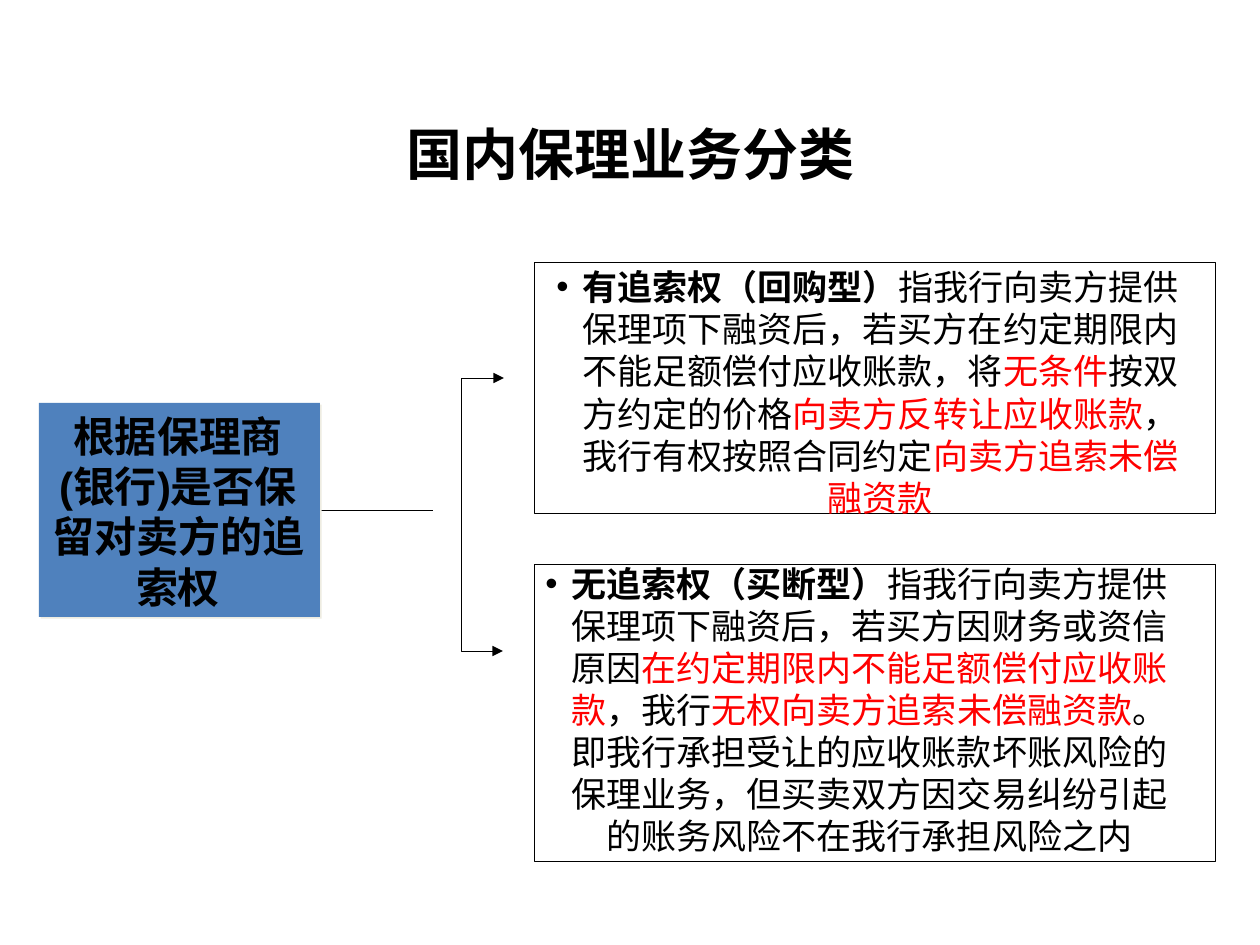
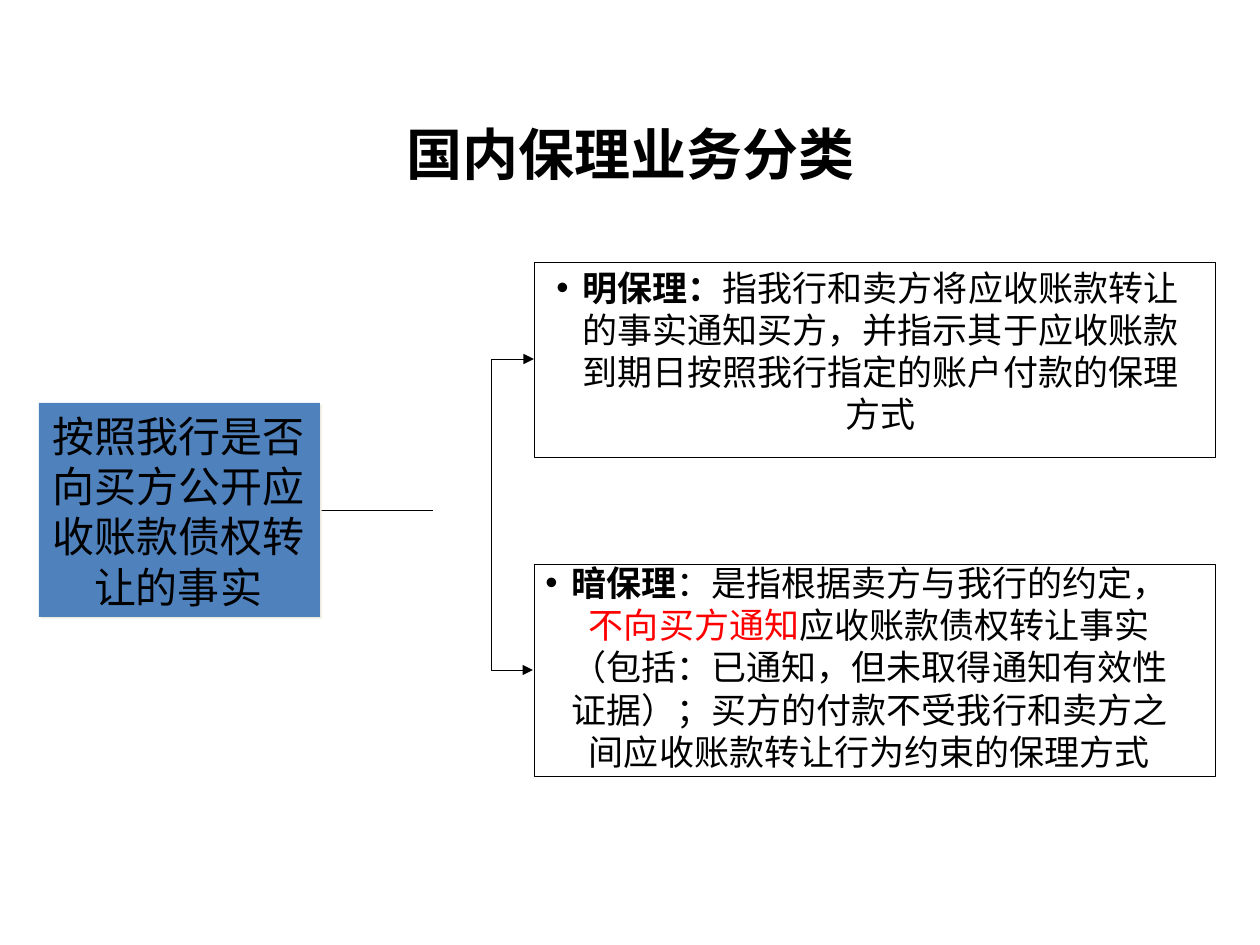
from lxml.etree import SubElement
from pptx import Presentation
from pptx.dml.color import RGBColor
from pptx.enum.shapes import MSO_CONNECTOR, MSO_SHAPE
from pptx.enum.text import MSO_ANCHOR, PP_ALIGN
from pptx.oxml.ns import qn
from pptx.util import Pt

BLACK, RED, BLUE, SHADOW = "000000", "FF0000", "4F81BD", "EEECE1"
LATIN, CJK = "Arial", "Noto Sans CJK SC"
PX = 914400 / 126
TITLE = "国内保理业务分类"
TITLE_AREA = (68, 103, 1125, 100)
QUESTION_BOX = (39, 403, 281, 214)
QUESTION_AREA = (49, 410, 258, 202)
STEM = (433, 510, 321, 510)
ANSWER_LEFT, ANSWER_WIDTH = 534, 682
ANSWER_TOPS = (262, 564)
TEXT_OFFSETS = ((18, 4), (7, -2))
TEXT_WIDTH, INDENT, BRACKET_DEPTH = 631, 26, 43

SLIDES = [
    {
        "question": ("根据保理商(银行)是否保留对卖方的追索权", True),
        "bracket": (504, 378, 651),
        "heights": (252, 297),
        "answers": [
            [
                ("有追索权（回购型）", BLACK, True),
                ("指我行向卖方提供保理项下融资后，若买方在约定期限内不能足额偿付应收账款，将", BLACK, False),
                ("无条件", RED, False),
                ("按双方约定的价格", BLACK, False),
                ("向卖方反转让应收账款", RED, False),
                ("，我行有权按照合同约定", BLACK, False),
                ("向卖方追索未偿融资款", RED, False),
            ],
            [
                ("无追索权（买断型）", BLACK, True),
                ("指我行向卖方提供保理项下融资后，若买方因财务或资信原因", BLACK, False),
                ("在约定期限内不能足额偿付应收账款", RED, False),
                ("，我行", BLACK, False),
                ("无权向卖方追索未偿融资款", RED, False),
                ("。即我行承担受让的应收账款坏账风险的保理业务，但买卖双方因交易纠纷引起的账务风险不在我行承担风险之内", BLACK, False),
            ],
        ],
    },
    {
        "question": ("按照我行是否向买方公开应收账款债权转让的事实", False),
        "bracket": (534, 359, 670),
        "heights": (195, 213),
        "answers": [
            [
                ("明保理：", BLACK, True),
                ("指我行和卖方将应收账款转让的事实通知买方，并指示其于应收账款到期日按照我行指定的账户付款的保理方式", BLACK, False),
            ],
            [
                ("暗保理", BLACK, True),
                ("：是指根据卖方与我行的约定，", BLACK, False),
                ("不向买方通知", RED, False),
                ("应收账款债权转让事实（包括：已通知，但未取得通知有效性证据）；买方的付款不受我行和卖方之间应收账款转让行为约束的保理方式", BLACK, False),
            ],
        ],
    },
]


def emu(*lengths):
    return [round(length * PX) for length in lengths]


def color(value):
    return RGBColor.from_string(value)


def add_text(slide, area, runs, size, font=LATIN, anchor=MSO_ANCHOR.TOP, bullet=False):
    frame = slide.shapes.add_textbox(*emu(*area)).text_frame
    frame.word_wrap = True
    frame.vertical_anchor = anchor
    frame.margin_left = frame.margin_right = frame.margin_top = frame.margin_bottom = 0
    paragraph = frame.paragraphs[0]
    paragraph.alignment = PP_ALIGN.CENTER
    paragraph.line_spacing = Pt(size * 1.2)
    if bullet:
        indent, = emu(INDENT)
        properties = paragraph._p.get_or_add_pPr()
        properties.set("marL", str(indent))
        properties.set("indent", str(-indent))
        bullet_color = SubElement(properties, qn("a:buClr"))
        SubElement(bullet_color, qn("a:srgbClr"), val=BLACK)
        SubElement(properties, qn("a:buFont"), typeface=LATIN)
        SubElement(properties, qn("a:buChar"), char="•")
    for words, ink, bold in runs:
        run = paragraph.add_run()
        run.text = words
        run.font.name = font
        run.font.size = Pt(size)
        run.font.bold = bold
        run.font.color.rgb = color(ink)
        SubElement(run._r.get_or_add_rPr(), qn("a:ea"), typeface=CJK)


def add_box(slide, area, fill=None):
    box = slide.shapes.add_shape(MSO_SHAPE.RECTANGLE, *emu(*area))
    box.shadow.inherit = False
    if fill:
        box.fill.solid()
        box.fill.fore_color.rgb = color(fill)
        box.line.fill.background()
        effects = box._element.spPr.find(qn("a:effectLst"))
        shadow = SubElement(effects, qn("a:outerShdw"), dist="17780", dir="2700000")
        SubElement(shadow, qn("a:srgbClr"), val=SHADOW)
    else:
        box.fill.background()
        box.line.color.rgb = color(BLACK)
        box.line.width = Pt(0.5)


def add_line(slide, kind, ends):
    line = slide.shapes.add_connector(kind, *emu(*ends))
    line.line.color.rgb = color(BLACK)
    line.line.width = Pt(0.5)
    SubElement(line._element.spPr, qn("a:effectLst"))
    return line


def add_bracket(slide, tip, top, bottom):
    bracket = add_line(slide, MSO_CONNECTOR.ELBOW, (tip, top, tip - 1, bottom))
    guides = bracket._element.spPr.find(qn("a:prstGeom")).get_or_add_avLst()
    SubElement(guides, qn("a:gd"), name="adj1", fmla=f"val {BRACKET_DEPTH * 100000}")
    outline = bracket.line._get_or_add_ln()
    for end in ("a:headEnd", "a:tailEnd"):
        SubElement(outline, qn(end), type="triangle")


def build_slide(deck, content):
    slide = deck.slides.add_slide(deck.slide_layouts[6])
    add_text(slide, TITLE_AREA, [(TITLE, BLACK, True)], 32, CJK, MSO_ANCHOR.MIDDLE)
    add_line(slide, MSO_CONNECTOR.STRAIGHT, STEM)
    for top, height, (dx, dy), runs in zip(ANSWER_TOPS, content["heights"], TEXT_OFFSETS, content["answers"]):
        add_box(slide, (ANSWER_LEFT, top, ANSWER_WIDTH, height))
        add_text(slide, (ANSWER_LEFT + dx, top + dy, TEXT_WIDTH, height), runs, 20, bullet=True)
    question, bold = content["question"]
    add_box(slide, QUESTION_BOX, BLUE)
    add_text(slide, QUESTION_AREA, [(question, BLACK, bold)], 24, anchor=MSO_ANCHOR.MIDDLE)
    add_bracket(slide, *content["bracket"])


def main():
    deck = Presentation()
    deck.slide_width, deck.slide_height = emu(1260, 945)
    for content in SLIDES:
        build_slide(deck, content)
    deck.save("out.pptx")


if __name__ == "__main__":
    main()
